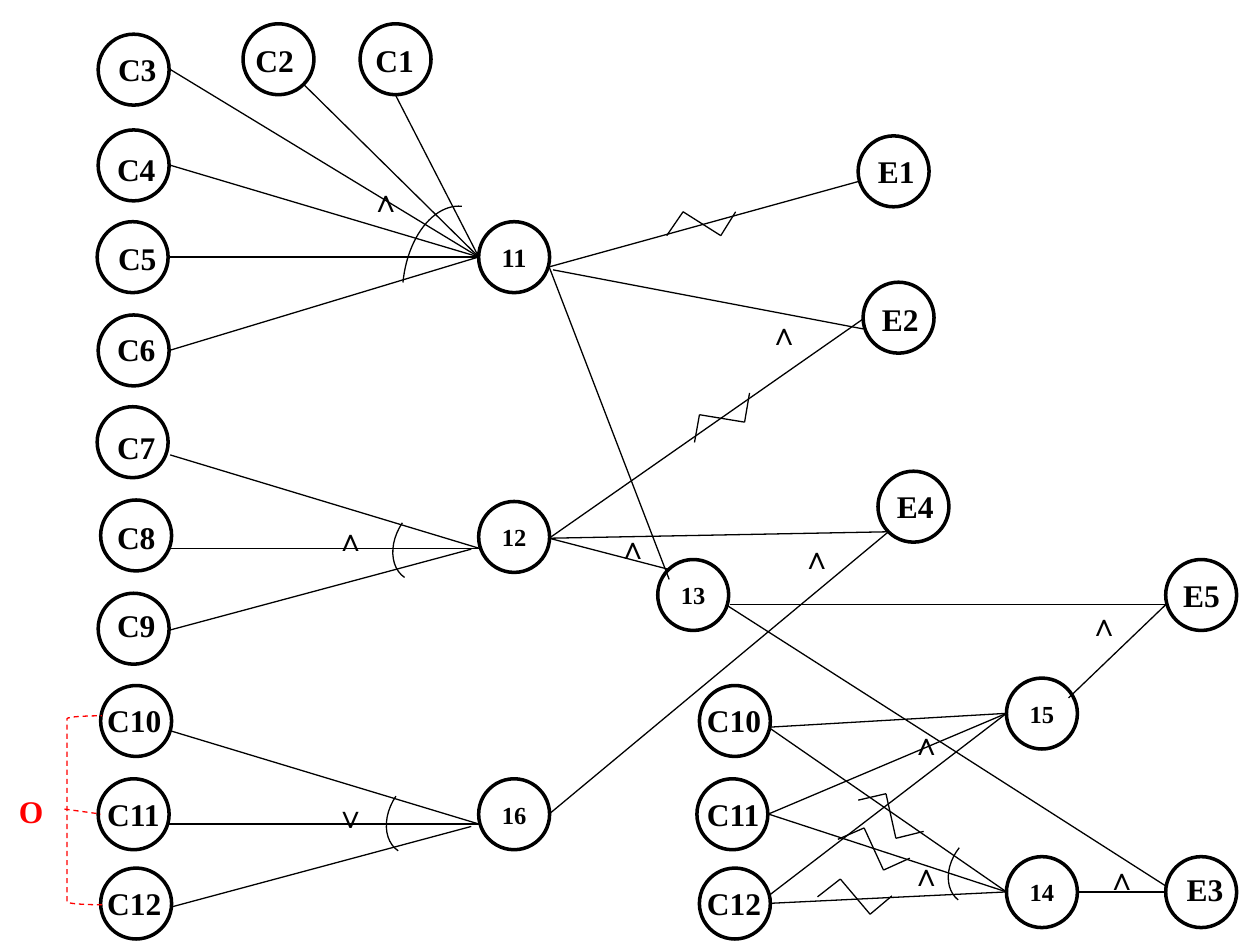
from itertools import pairwise

from lxml.etree import SubElement
from pptx import Presentation
from pptx.dml.color import RGBColor
from pptx.enum.dml import MSO_LINE
from pptx.enum.shapes import MSO_CONNECTOR, MSO_SHAPE
from pptx.enum.text import MSO_ANCHOR, PP_ALIGN
from pptx.oxml.ns import qn
from pptx.util import Cm, Pt

BLACK = RGBColor(0, 0, 0)
RED = RGBColor(255, 0, 0)
FONT = "Times New Roman"
DIAMETER = 1.43
LABEL_WIDTH, SIGN_WIDTH, TEXT_HEIGHT = 1.78, 1.07, 1.02

presentation = Presentation()
presentation.slide_width = Cm(25.4)
presentation.slide_height = Cm(19.05)
slide = presentation.slides.add_slide(presentation.slide_layouts[6])


def write_text(shape, text, size=18, color=BLACK, alignment=PP_ALIGN.LEFT,
               anchor=MSO_ANCHOR.TOP, wrap=True):
    frame = shape.text_frame
    frame.word_wrap = wrap
    frame.vertical_anchor = anchor
    paragraph = frame.paragraphs[0]
    paragraph.alignment = alignment
    run = paragraph.add_run()
    run.text = text
    run.font.name = FONT
    run.font.size = Pt(size)
    run.font.bold = True
    run.font.color.rgb = color


def draw(kind, left, top, width, height, weight=0.75, color=BLACK):
    """Add an outline shape, or a line whose far end is (width, height)."""
    lengths = [Cm(value) for value in (left, top, width, height)]
    if kind == MSO_CONNECTOR.STRAIGHT:
        shape = slide.shapes.add_connector(kind, *lengths)
        SubElement(shape._element.spPr, qn("a:effectLst"))
    else:
        shape = slide.shapes.add_shape(kind, *lengths)
        shape.shadow.inherit = False
        shape.fill.background()
    shape.line.color.rgb = color
    shape.line.width = Pt(weight)
    return shape


# Causes and effects: text, circle left and top, label left and top
labelled_circles = [
    ("C1", 7.26, 0.48, 7.32, 0.71),
    ("C2", 4.9, 0.48, 4.9, 0.71),
    ("C3", 1.98, 0.69, 2.13, 0.89),
    ("C4", 1.98, 2.62, 2.11, 2.9),
    ("C5", 1.96, 4.47, 2.13, 4.7),
    ("C6", 1.98, 6.35, 2.11, 6.53),
    ("C7", 1.96, 8.2, 2.11, 8.51),
    ("C8", 2.03, 10.08, 2.11, 10.31),
    ("C9", 1.98, 11.96, 2.11, 12.09),
    ("E1", 17.3, 2.74, 17.45, 2.95),
    ("E2", 17.4, 5.69, 17.53, 5.92),
    ("E3", 23.5, 17.27, 23.67, 17.42),
    ("E4", 17.7, 9.5, 17.83, 9.7),
    ("E5", 23.5, 11.28, 23.6, 11.48),
]
# C10 to C12 stand in two columns
for circle_left, label_left in ((2.03, 1.91), (14.1, 14.0)):
    labelled_circles += [
        ("C10", circle_left, 13.82, label_left, 14.0),
        ("C11", circle_left - 0.05, 15.7, label_left, 15.9),
        ("C12", circle_left, 17.5, label_left, 17.7),
    ]
for text, left, top, label_left, label_top in labelled_circles:
    draw(MSO_SHAPE.OVAL, left, top, DIAMETER, DIAMETER, weight=2)
    label = slide.shapes.add_textbox(
        Cm(label_left), Cm(label_top), Cm(LABEL_WIDTH), Cm(TEXT_HEIGHT))
    write_text(label, text)

# Intermediate nodes
for text, left, top, size in [
    ("11", 9.65, 4.47, 15),
    ("12", 9.65, 10.11, 14),
    ("13", 13.26, 11.28, 14),
    ("14", 20.29, 17.27, 14),
    ("15", 20.29, 13.67, 14),
    ("16", 9.65, 15.7, 14),
]:
    node = draw(MSO_SHAPE.OVAL, left, top, DIAMETER, DIAMETER, weight=2)
    write_text(node, text, size=size, alignment=PP_ALIGN.CENTER,
               anchor=MSO_ANCHOR.MIDDLE, wrap=False)

# Lines that meet at a shared point: the point, then the other ends
fans = [
    ((9.65, 5.18), [(3.43, 1.4), (6.12, 1.7), (7.98, 1.93),
                    (3.43, 3.33), (3.38, 5.18), (3.43, 7.06)]),
    ((9.65, 11.05), [(3.43, 9.17), (3.38, 11.05)]),
    ((9.5, 11.07), [(3.43, 12.7)]),
    ((9.65, 16.61), [(3.43, 14.73), (3.38, 16.61)]),
    ((9.5, 16.66), [(3.43, 18.29)]),
    ((11.07, 5.38), [(17.3, 3.66), (13.49, 11.68)]),
    ((11.15, 5.44), [(17.4, 6.63)]),
    ((11.07, 10.85), [(17.4, 6.43), (13.49, 11.48), (17.91, 10.72)]),
    ((17.91, 10.72), [(11.07, 16.41)]),
    ((23.5, 12.19), [(14.71, 12.19), (21.54, 14.07)]),
    ((23.5, 17.86), [(14.68, 12.22)]),
    ((23.5, 17.98), [(21.74, 17.98)]),
    ((20.29, 14.38), [(15.49, 14.66), (15.49, 16.41), (15.49, 18.06)]),
    ((20.29, 17.98), [(15.49, 14.66), (15.49, 16.41), (15.52, 18.21)]),
]
for meeting_point, ends in fans:
    for end in ends:
        draw(MSO_CONNECTOR.STRAIGHT, *end, *meeting_point)

# Negation zigzags
for zigzag in [
    [(13.44, 4.75), (13.77, 4.27), (14.53, 4.75), (14.83, 4.27)],
    [(14.0, 8.92), (14.1, 8.36), (15.01, 8.51), (15.11, 7.92)],
    [(16.48, 18.08), (16.94, 17.72), (17.54, 18.43), (17.98, 18.06)],
    [(17.3, 16.13), (17.86, 16.0), (18.06, 16.9), (18.62, 16.76)],
    [(16.89, 16.92), (17.42, 16.69), (17.81, 17.54), (18.34, 17.3)],
]:
    for start, end in pairwise(zigzag):
        draw(MSO_CONNECTOR.STRAIGHT, *start, *end)

# Arcs across the joined lines
for left, top, width, height, rotation in [
    (7.52, 4.75, 3.28, 2.08, 275.3),
    (8.0, 10.01, 1.3, 1.78, 213.8),
    (7.87, 15.52, 1.3, 1.78, 213.8),
    (19.2, 16.64, 1.27, 1.68, 218.2),
]:
    arc = draw(MSO_SHAPE.ARC, left, top, width, height)
    arc.rotation = rotation

# Logic signs and the constraint letter
for text, left, top, color in [
    ("∧", 7.21, 3.53, BLACK),
    ("∧", 6.5, 10.36, BLACK),
    ("∧", 15.24, 6.2, BLACK),
    ("∧", 18.11, 14.48, BLACK),
    ("∧", 12.19, 10.52, BLACK),
    ("∧", 15.9, 10.72, BLACK),
    ("∧", 21.69, 12.07, BLACK),
    ("∧", 18.11, 17.12, BLACK),
    ("∧", 22.05, 17.2, BLACK),
    ("∨", 6.5, 15.95, BLACK),
    ("O", 0.13, 15.85, RED),
]:
    sign = slide.shapes.add_textbox(
        Cm(left), Cm(top), Cm(SIGN_WIDTH), Cm(TEXT_HEIGHT))
    write_text(sign, text, color=color)

# Constraint over C10 to C12
bracket = draw(MSO_SHAPE.LEFT_BRACKET, 1.35, 14.43, 0.71, 3.81, color=RED)
branch = draw(MSO_CONNECTOR.STRAIGHT, 1.3, 16.31, 2.03, 16.41, color=RED)
for shape in (bracket, branch):
    shape.line.dash_style = MSO_LINE.DASH

presentation.save("out.pptx")
